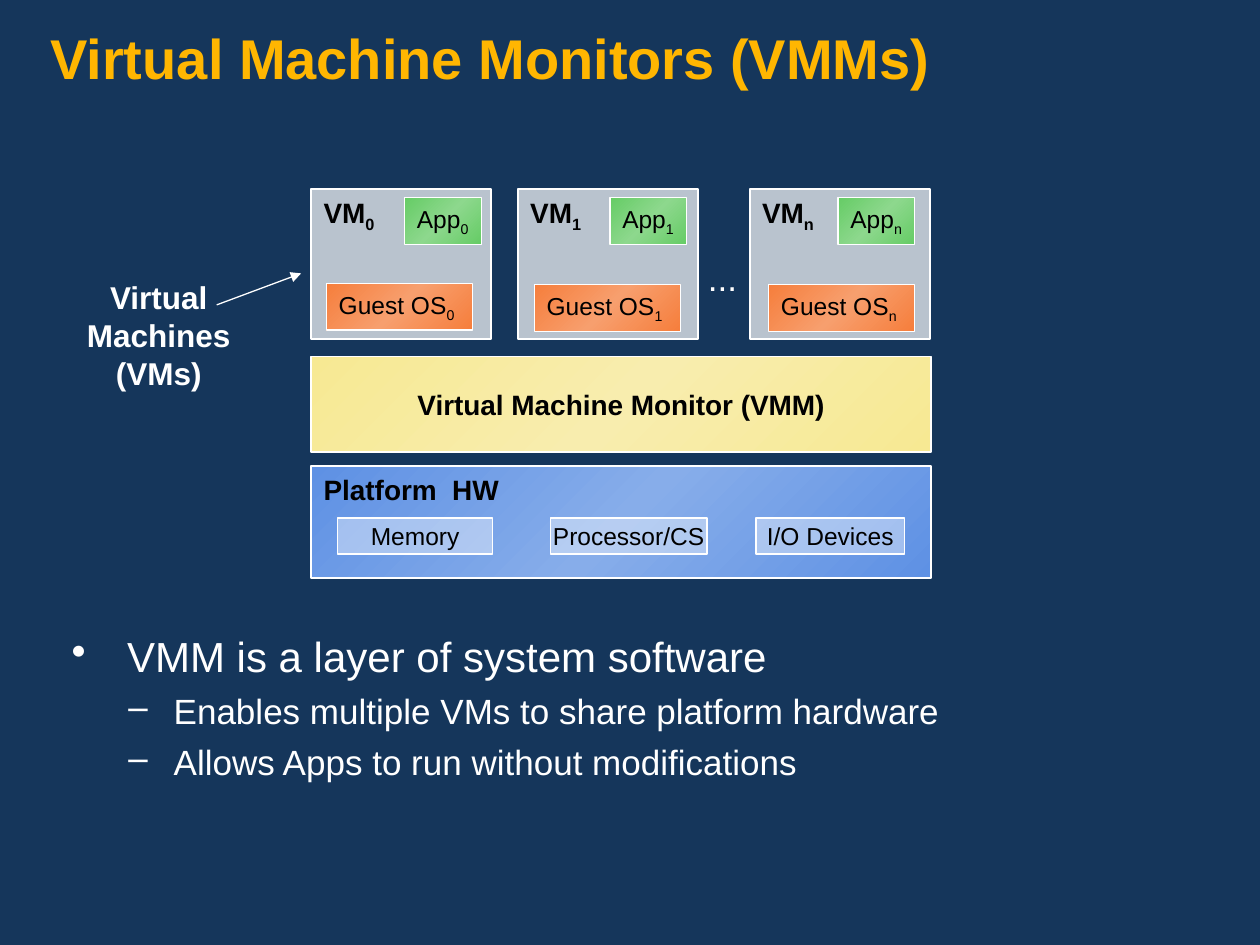
"""Build the slide that explains virtual machine monitors as stacked layers."""
from copy import deepcopy
from dataclasses import dataclass
from typing import Optional

from lxml import etree
from pptx import Presentation
from pptx import util as u
from pptx.dml.color import RGBColor
from pptx.enum import shapes, text
from pptx.oxml.ns import qn

LEFT, CENTER = text.PP_ALIGN.LEFT, text.PP_ALIGN.CENTER
TOP, MIDDLE = text.MSO_ANCHOR.TOP, text.MSO_ANCHOR.MIDDLE


@dataclass(frozen=True)
class Theme:
    """Colours, font and type sizes of the slide."""
    font: str = "Arial"
    background: str = "15365B"
    gold: str = "FFB601"
    white: str = "FFFFFF"
    black: str = "000000"
    monitor: tuple = ("F7E993", "F8EDAE")
    hardware: tuple = ("5E91E4", "87ADEA")
    app: tuple = ("66CC66", "8DD88D")
    guest: tuple = ("F67E3C", "F79F6E")
    title_pt: float = 32
    bullet_pt: float = 24
    detail_pt: float = 20
    callout_pt: float = 18
    layer_pt: float = 16
    part_pt: float = 14


THEME = Theme()


@dataclass(frozen=True)
class Block:
    """Look of one kind of box: edge and sheen colours, or a white veil."""
    size: float
    bold: bool = False
    gradient: Optional[tuple] = None
    opacity: int = 100
    border: float = 1
    align: text.PP_ALIGN = LEFT
    anchor: text.MSO_ANCHOR = TOP
    wrap: bool = False


MONITOR = Block(THEME.layer_pt, True, THEME.monitor, align=CENTER, anchor=MIDDLE)
HARDWARE = Block(THEME.layer_pt, True, THEME.hardware)
MACHINE = Block(THEME.layer_pt, True, opacity=70)
DEVICE = Block(THEME.part_pt, opacity=40, align=CENTER, anchor=MIDDLE)
APP = Block(THEME.part_pt, gradient=THEME.app, border=0.75)
GUEST = Block(THEME.part_pt, gradient=THEME.guest, border=0.75, wrap=True)


@dataclass(frozen=True)
class Machine:
    """One virtual machine: its index and the places of its parts."""
    index: str
    left: float
    app_left: float
    guest_left: float
    guest_top: float = 2.26


MACHINES = (Machine("0", 2.47, 3.21, 2.59, 2.25), Machine("1", 4.11, 4.84, 4.24),
            Machine("n", 5.95, 6.65, 6.1))
DEVICES = (("Memory", 2.68, 1.23), ("Processor/CS", 4.37, 1.24), ("I/O Devices", 6, 1.18))


@dataclass(frozen=True)
class Bullet:
    """One line of the list with its mark, indents and spacing."""
    words: str
    mark: str
    size: float
    margin: float
    hanging: float
    before: float
    level: int


BULLETS = (
    Bullet("VMM is a layer of system software", "•", THEME.bullet_pt, 0.44, 0.44, 9, 0),
    Bullet("Enables multiple VMs to share platform hardware", "–", THEME.detail_pt, 0.81, 0.36, 7.5, 1),
    Bullet("Allows Apps to run without modifications", "–", THEME.detail_pt, 0.81, 0.36, 7.5, 1),
)


def rgb(value: str) -> RGBColor:
    """Turn a hex string into a colour."""
    return RGBColor.from_string(value)


def apply(target, formats: dict) -> None:
    """Set each named format value on the target."""
    for name, value in formats.items():
        setattr(target, name, value)


def inches(*lengths: float) -> list:
    """Convert plain numbers to lengths."""
    return [u.Inches(length) for length in lengths]


def write(paragraph, words: str, size: float, color: str, bold: bool = False, subscript: str = "") -> None:
    """Add a run and, if given, its subscript."""
    for part in filter(None, (words, subscript)):
        run = paragraph.add_run()
        run.text = part
        apply(run.font, {"name": THEME.font, "size": u.Pt(size), "bold": bold})
        run.font.color.rgb = rgb(color)
        if part is subscript:
            run.font._element.set("baseline", "-25000")


def add_text(slide, place: tuple, lines: tuple = ("",), size: float = 0, color: str = THEME.white,
             bold: bool = False, align: text.PP_ALIGN = CENTER, wrap: bool = False):
    """Add a text box with one paragraph per line and return its frame."""
    frame = slide.shapes.add_textbox(*inches(*place)).text_frame
    frame.word_wrap = wrap
    for number, line in enumerate(lines):
        paragraph = frame.add_paragraph() if number else frame.paragraphs[0]
        paragraph.alignment = align
        if line:
            write(paragraph, line, size, color, bold)
    return frame


def paint(fill, block: Block, properties) -> None:
    """Fill a box with a diagonal sheen or with translucent white."""
    if block.gradient:
        edge, sheen = block.gradient
        fill.gradient()
        fill.gradient_angle = 135
        stops = properties.find(".//" + qn("a:gsLst"))
        stops.append(deepcopy(stops[0]))
        for stop, position, color in zip(fill.gradient_stops, (0, 0.5, 1), (edge, sheen, edge)):
            stop.position = position
            stop.color.rgb = rgb(color)
    else:
        fill.solid()
        fill.fore_color.rgb = rgb(THEME.white)
        color = properties.find(qn("a:solidFill"))[0]
        etree.SubElement(color, qn("a:alpha"), val=str(block.opacity * 1000))


def add_block(slide, place: tuple, words: str, block: Block, subscript: str = "") -> None:
    """Draw a labelled box."""
    box = slide.shapes.add_shape(shapes.MSO_SHAPE.RECTANGLE, *inches(*place))
    box.shadow.inherit = False
    paint(box.fill, block, box._element.spPr)
    box.line.color.rgb = rgb(THEME.white)
    box.line.width = u.Pt(block.border)
    apply(box.text_frame, {"word_wrap": block.wrap, "vertical_anchor": block.anchor})
    paragraph = box.text_frame.paragraphs[0]
    paragraph.alignment = block.align
    write(paragraph, words, block.size, THEME.black, block.bold, subscript)


def add_machine(slide, machine: Machine) -> None:
    """Draw a virtual machine with its app and guest system."""
    add_block(slide, (machine.left, 1.5, 1.43, 1.19), "VM", MACHINE, machine.index)
    add_block(slide, (machine.app_left, 1.57, 0.61, 0.37), "App", APP, machine.index)
    add_block(slide, (machine.guest_left, machine.guest_top, 1.16, 0.37), "Guest OS", GUEST, machine.index)


def add_arrow(slide, start: tuple, end: tuple) -> None:
    """Draw a thin white arrow."""
    arrow = slide.shapes.add_connector(shapes.MSO_CONNECTOR.STRAIGHT, *inches(*start, *end))
    arrow.line.color.rgb = rgb(THEME.white)
    arrow.line.width = u.Pt(0.75)
    etree.SubElement(arrow.line._get_or_add_ln(), qn("a:tailEnd"), type="triangle")
    etree.SubElement(arrow._element.spPr, qn("a:effectLst"))


def add_bullets(slide) -> None:
    """Write the list under the diagram."""
    frame = add_text(slide, (0.47, 5, 9.19, 1.27), align=LEFT, wrap=True)
    for number, bullet in enumerate(BULLETS):
        paragraph = frame.add_paragraph() if number else frame.paragraphs[0]
        apply(paragraph, {"level": bullet.level, "line_spacing": 0.9, "space_before": u.Pt(bullet.before)})
        properties = paragraph._p.get_or_add_pPr()
        properties.set("marL", str(u.Inches(bullet.margin)))
        properties.set("indent", str(-u.Inches(bullet.hanging)))
        etree.SubElement(properties, qn("a:buChar"), char=bullet.mark)
        write(paragraph, bullet.words, bullet.size, THEME.white)


def main() -> None:
    """Assemble and save the slide."""
    deck = Presentation()
    apply(deck, {"slide_width": u.Inches(10), "slide_height": u.Inches(7.5)})
    slide = deck.slides.add_slide(deck.slide_layouts[6])
    slide.background.fill.solid()
    slide.background.fill.fore_color.rgb = rgb(THEME.background)
    title = add_text(slide, (0, 0, 10, 0.75), ("Virtual Machine Monitors (VMMs)",),
                     THEME.title_pt, THEME.gold, True, LEFT, True)
    apply(title, dict(zip(("margin_left", "margin_top", "margin_right"), inches(0.4, 0.25, 0.4))))
    title.paragraphs[0].line_spacing = 0.9
    add_bullets(slide)
    add_text(slide, (5.52, 1.99, 0.43, 0.44), ("...",), THEME.detail_pt)
    add_block(slide, (2.47, 2.83, 4.92, 0.76), "Virtual Machine Monitor (VMM)", MONITOR)
    add_block(slide, (2.47, 3.7, 4.92, 0.89), "Platform  HW", HARDWARE)
    for name, left, width in DEVICES:
        add_block(slide, (left, 4.11, width, 0.29), name, DEVICE)
    for machine in MACHINES:
        add_machine(slide, machine)
    add_text(slide, (0.59, 2.16, 1.34, 1), ("Virtual", "Machines", "(VMs)"), THEME.callout_pt, bold=True)
    add_arrow(slide, (1.72, 2.42), (2.39, 2.17))
    deck.save("out.pptx")


if __name__ == "__main__":
    main()
